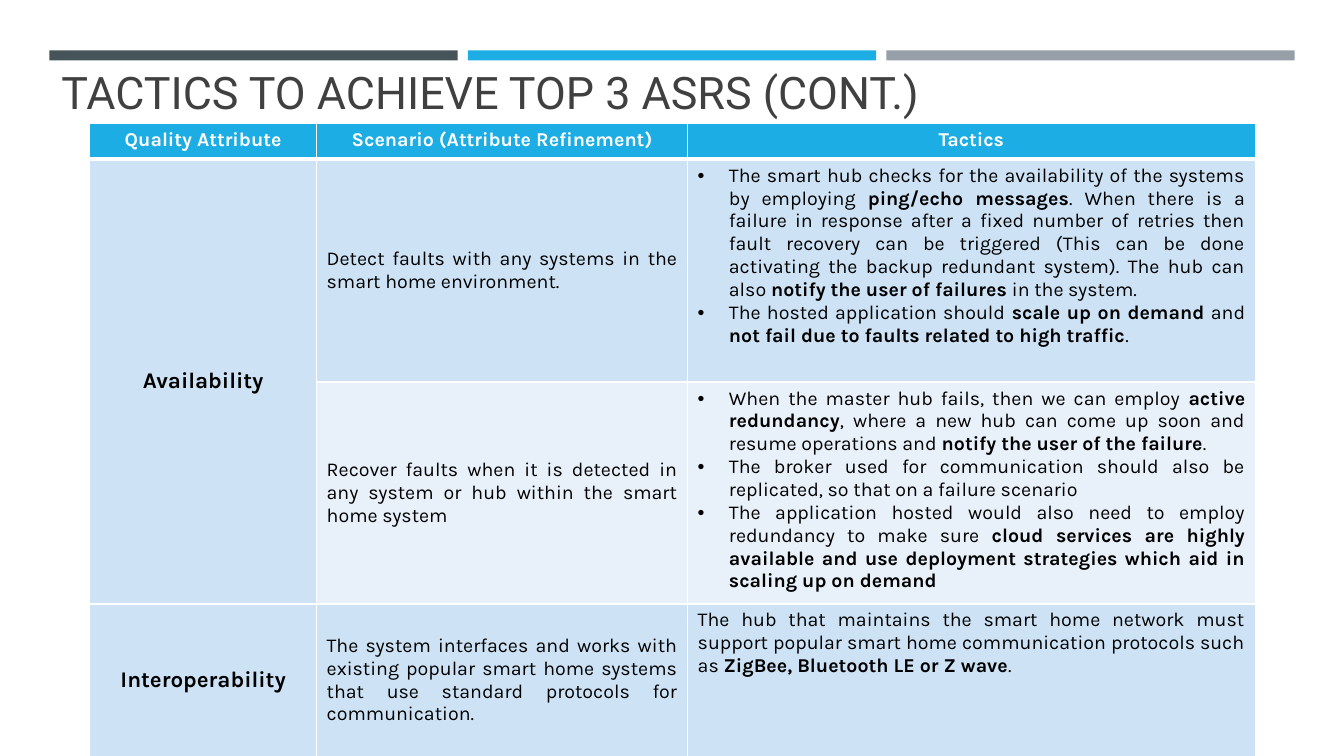
"""Build the slide on tactics for the top three ASRs."""
from pptx import Presentation
from pptx.dml.color import RGBColor
from pptx.enum.shapes import MSO_SHAPE
from pptx.enum.text import MSO_ANCHOR, PP_ALIGN
from pptx.oxml.ns import qn
from pptx.util import Inches, Pt
from lxml.etree import SubElement


def paint(fill, color):
    fill.solid()
    fill.fore_color.rgb = RGBColor.from_string(color)


def write(para, text, font, size, color, bold=False):
    for i, part in enumerate(text.split("**")):
        if part:
            run = para.add_run()
            run.text = part
            run.font.name = font
            run.font.size = Pt(size)
            run.font.bold = bold or i % 2 == 1
            run.font.color.rgb = RGBColor.from_string(color)


deck = Presentation()
deck.slide_width, deck.slide_height = Inches(13.33), Inches(7.5)
slide = deck.slides.add_slide(deck.slide_layouts[6])

for i, color in enumerate(["465359", "1CADE4", "969FA7"]):
    bar = slide.shapes.add_shape(MSO_SHAPE.RECTANGLE, Inches(0.49 + 4.15 * i),
                                 Inches(0.5), Inches(4.05), Inches(0.1))
    bar.shadow.inherit = False
    bar.line.fill.background()
    paint(bar.fill, color)

title = slide.shapes.add_textbox(Inches(0.51), Inches(0.71), Inches(12.06), Inches(0.51))
frame = title.text_frame
frame.word_wrap = True
frame.vertical_anchor = MSO_ANCHOR.BOTTOM
write(frame.paragraphs[0], "TACTICS TO ACHIEVE TOP 3 ASRS (CONT.)", "Roboto", 32, "404040")

rows = [
    (["Quality Attribute"], ["Scenario (Attribute Refinement)"], ["Tactics"]),
    (["Availability"],
     ["Detect faults with any systems in the smart home environment. "],
     ["The smart hub checks for the availability of the systems by employing "
      "**ping/echo messages**. When there is a failure in response after a fixed number of "
      "retries then fault recovery can be triggered (This can be done activating the backup "
      "redundant system). The hub can also **notify the user of failures** in the system.",
      "The hosted application should **scale up on demand** and "
      "**not fail due to faults related to high traffic**."]),
    ([],
     ["Recover faults when it is detected in any system or hub within the smart home system"],
     ["When the master hub fails, then we can employ **active redundancy**, where a new hub "
      "can come up soon and resume operations and **notify the user of the failure**. ",
      "The broker used for communication should also be replicated, so that on a failure "
      "scenario ",
      "The application hosted would also need to employ redundancy to make sure **cloud "
      "services are highly available and use deployment strategies which aid in scaling up "
      "on demand**"]),
    (["Interoperability"],
     ["The system interfaces and works with existing popular smart home systems that use "
      "standard protocols for communication."],
     ["The hub that maintains the smart home network must support popular smart home "
      "communication protocols such as **ZigBee, Bluetooth LE or Z wave**."]),
]
fills = ["1CADE4", "CDE3F5", "E8F1FA", "CDE3F5"]
widths = [2.25, 3.68, 5.63]
heights = [0.36, 2.21, 1.68, 1.51]

table = slide.shapes.add_table(4, 3, Inches(0.89), Inches(1.22), Inches(sum(widths)),
                               Inches(sum(heights))).table
for col, width in zip(table.columns, widths):
    col.width = Inches(width)
for row, height in zip(table.rows, heights):
    row.height = Inches(height)
table.cell(1, 0).merge(table.cell(2, 0))

for r, row in enumerate(rows):
    for c, texts in enumerate(row):
        cell = table.cell(r, c)
        props = cell._tc.get_or_add_tcPr()
        for side in "LRTB":
            thick = (r, side) in [(0, "B"), (1, "T")]
            line = SubElement(props, qn("a:ln" + side), w=str(Pt(3 if thick else 1)))
            solid = SubElement(line, qn("a:solidFill"))
            SubElement(solid, qn("a:srgbClr"), val="FFFFFF")
        paint(cell.fill, fills[r])
        if r and c < 2:
            cell.vertical_anchor = MSO_ANCHOR.MIDDLE
        head = r == 0 or c == 0
        for i, text in enumerate(texts):
            frame = cell.text_frame
            para = frame.add_paragraph() if i else frame.paragraphs[0]
            para.alignment = PP_ALIGN.CENTER if head else PP_ALIGN.JUSTIFY
            write(para, text, "Karla", 16 if r and c == 0 else 14,
                  "000000" if r else "FFFFFF", head)
            if len(texts) > 1:
                style = para._p.get_or_add_pPr()
                style.set("marL", str(Inches(0.31)))
                style.set("indent", str(Inches(-0.31)))
                SubElement(style, qn("a:buFont"), typeface="Arial")
                SubElement(style, qn("a:buChar"), char="•")

deck.save("out.pptx")
